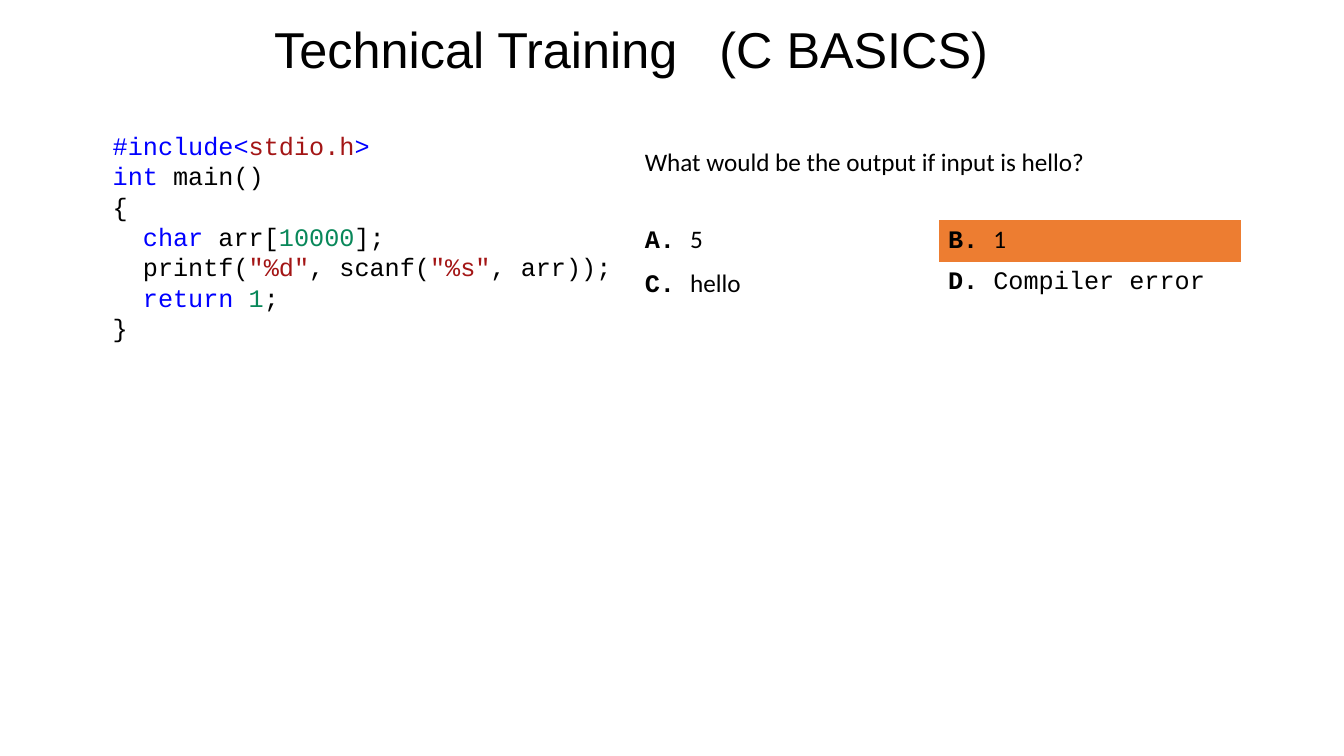
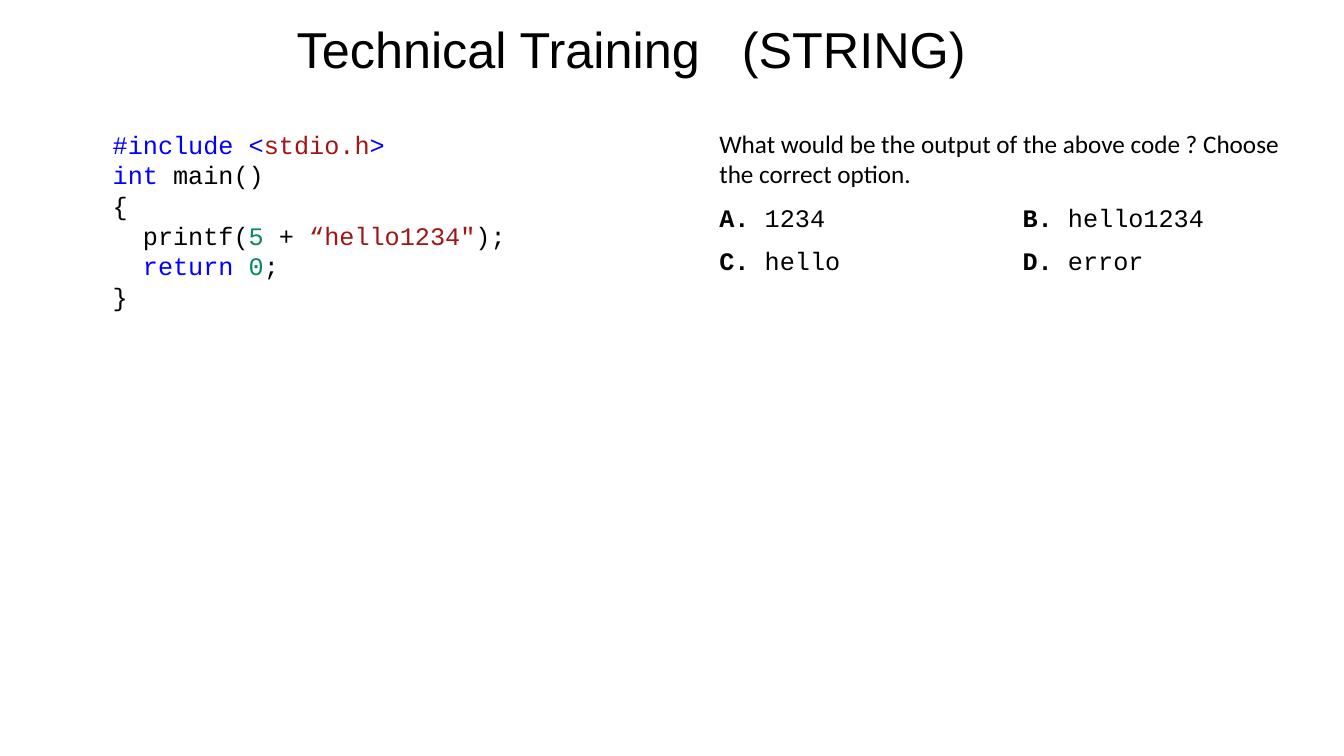
import pptx
import pptx.dml.color
import pptx.enum.text
import pptx.util

Inches = pptx.util.Inches
Pt = pptx.util.Pt

COLORS = {
    "text": "000000",
    "keyword": "0000FF",
    "string": "A31515",
    "number": "09885A",
    "plain_cell": "FFFFFF",
    "answer_cell": "ED7D31",
}
TITLE_FONT, BODY_FONT, CODE_FONT = "Arial", "Calibri", "Courier New"
BODY_SIZE = 18

INPUT_CODE = [
    [("keyword", "#include<"), ("string", "stdio.h"), ("keyword", ">")],
    [("keyword", "int"), ("text", " main()")],
    [("text", "{")],
    [("text", "  "), ("keyword", "char"), ("text", " arr["), ("number", "10000"), ("text", "];")],
    [("text", "  printf("), ("string", '"%d"'), ("text", ", scanf("), ("string", '"%s"'),
     ("text", ", arr));")],
    [("text", "  "), ("keyword", "return "), ("number", "1"), ("text", ";")],
    [("text", "}")],
]
STRING_CODE = [
    [("keyword", "#include <"), ("string", "stdio.h"), ("keyword", ">")],
    [("keyword", "int"), ("text", " main()")],
    [("text", "{")],
    [("text", "  printf("), ("number", "5"), ("text", " + "), ("string", '“hello1234"'),
     ("text", ");")],
    [("keyword", "  return "), ("number", "0"), ("text", ";")],
    [("text", "}")],
]


def rgb(name):
    """Return the named colour."""
    return pptx.dml.color.RGBColor.from_string(COLORS[name])


def add_run(paragraph, text, font_name, size=BODY_SIZE, color="text", bold=False):
    """Append one formatted run and return it."""
    run = paragraph.add_run()
    run.text = text
    run.font.name = font_name
    run.font.size = Pt(size)
    run.font.bold = bold
    run.font.color.rgb = rgb(color)
    return run


def place(shape, left, top, width, height):
    """Set the position and size of a shape."""
    shape.left, shape.top = Inches(left), Inches(top)
    shape.width, shape.height = Inches(width), Inches(height)


def add_titled_slide(presentation, topic):
    """Add a slide with the course title and its topic."""
    slide = presentation.slides.add_slide(presentation.slide_layouts[5])
    title = slide.shapes.title
    place(title, 2.29, 0.13, 7.95, 0.7)
    title.text_frame.auto_size = pptx.enum.text.MSO_AUTO_SIZE.NONE
    title.text_frame.vertical_anchor = pptx.enum.text.MSO_ANCHOR.TOP
    paragraph = title.text_frame.paragraphs[0]
    paragraph.alignment = pptx.enum.text.PP_ALIGN.CENTER
    add_run(paragraph, "Technical Training", TITLE_FONT, 36)
    gap = add_run(paragraph, " ", TITLE_FONT, 36)
    gap._r.get_or_add_rPr().set("spc", "2000")
    add_run(paragraph, f"({topic})", TITLE_FONT, 36)
    return slide


def add_code(slide, box, lines):
    """Add a code listing with coloured syntax."""
    text_frame = slide.shapes.add_textbox(*map(Inches, box)).text_frame
    text_frame.word_wrap = True
    for index, line in enumerate(lines):
        paragraph = text_frame.add_paragraph() if index else text_frame.paragraphs[0]
        paragraph.line_spacing = Pt(21.7)
        for color, text in line:
            add_run(paragraph, text, CODE_FONT, color=color)


def add_question(slide, left, top, question, options, correct=None):
    """Add a question above a two-by-two grid of lettered options."""
    frame = slide.shapes.add_table(
        3, 2, Inches(left), Inches(top), Inches(6.02), Inches(1.63))
    table = frame.table
    table.first_row = table.horz_banding = False
    for column in table.columns:
        column.width = Inches(3.01)
    for row, height in zip(table.rows, (0.77, 0.43, 0.43)):
        row.height = Inches(height)
    for cell in table.iter_cells():
        cell.fill.solid()
        cell.fill.fore_color.rgb = rgb("plain_cell")
    table.cell(0, 0).merge(table.cell(0, 1))
    add_run(table.cell(0, 0).text_frame.paragraphs[0], question, BODY_FONT)
    for index, (letter, (text, font_name)) in enumerate(zip("ABCD", options)):
        cell = table.cell(1 + index // 2, index % 2)
        paragraph = cell.text_frame.paragraphs[0]
        add_run(paragraph, f"{letter}. ", CODE_FONT, bold=True)
        add_run(paragraph, text, font_name)
        if letter == correct:
            cell.fill.fore_color.rgb = rgb("answer_cell")


def main():
    """Build and save the two quiz slides."""
    presentation = pptx.Presentation()
    presentation.slide_width = Inches(13.34)
    presentation.slide_height = Inches(7.5)

    slide = add_titled_slide(presentation, "C BASICS")
    add_code(slide, (1.02, 1.24, 5.41, 3.1), INPUT_CODE)
    add_question(
        slide, 6.3, 1.41, "What would be the output if input is hello?",
        [("5", BODY_FONT), ("1", BODY_FONT), ("hello", BODY_FONT),
         ("Compiler error", CODE_FONT)],
        correct="B")

    slide = add_titled_slide(presentation, "STRING")
    add_question(
        slide, 7.04, 1.23,
        "What would be the output of the above code ? Choose the correct option.",
        [(text, CODE_FONT) for text in ("1234", "hello1234", "hello", "error")])
    add_code(slide, (1.02, 1.23, 5.41, 2.2), STRING_CODE)

    presentation.save("out.pptx")


if __name__ == "__main__":
    main()
